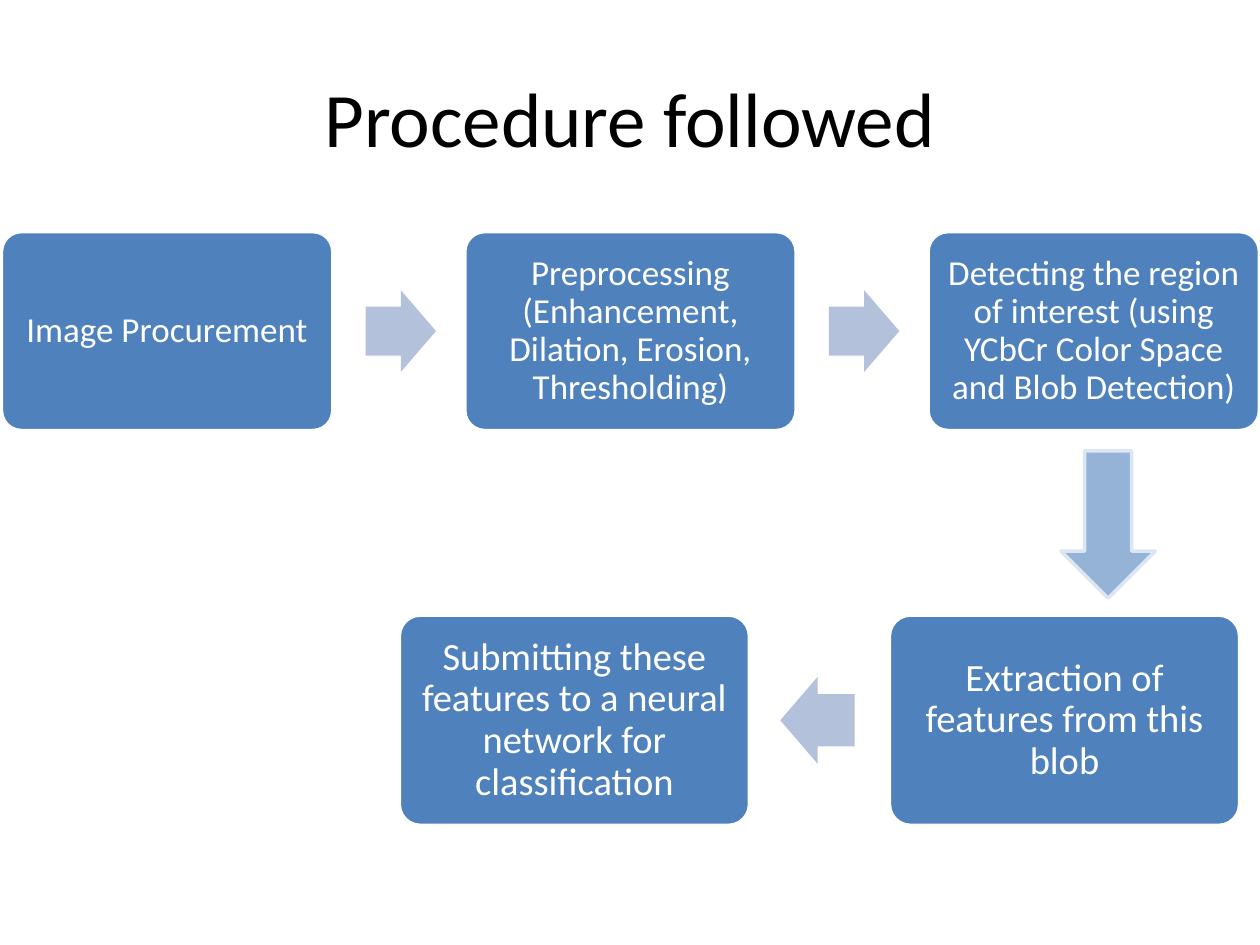
from pptx import Presentation
from pptx import util as u
from pptx.dml.color import RGBColor
from pptx.enum import shapes, text

# Content: each row runs from its first box in the given direction (lengths in cm)
TITLE = "Procedure followed"
ROWS = [
    dict(left=0.03, top=4.67, width=6.68, height=4.01, pitch=9.34, direction=1,
         arrow=(1.42, 1.65), size=20, inset=0.09,
         steps=["Image Procurement",
                "Preprocessing (Enhancement, Dilation, Erosion, Thresholding)",
                "Detecting the region of interest (using YCbCr Color Space "
                "and Blob Detection)"]),
    dict(left=17.93, top=12.4, width=7.06, height=4.24, pitch=9.88, direction=-1,
         arrow=(1.5, 1.75), size=22, inset=0.11,
         steps=["Extraction of features from this blob",
                "Submitting these features to a neural network for classification"]),
]
COLORS = dict(black="000000", white="FFFFFF", box="4F81BD", arrow="B3C1DB",
              down="95B3D7", down_line="DCE6F2")
KIND = shapes.MSO_SHAPE

deck = Presentation()
deck.slide_width, deck.slide_height = u.Cm(25.4), u.Cm(19.05)
page = deck.slides.add_slide(deck.slide_layouts[6])


def write(box, words, size, color, inset=0.25, spacing=1.0):
    frame = box.text_frame
    frame.word_wrap = True
    frame.vertical_anchor = text.MSO_ANCHOR.MIDDLE
    frame.margin_left = frame.margin_right = u.Cm(inset)
    frame.margin_top = frame.margin_bottom = u.Cm(inset)
    para = frame.paragraphs[0]
    para.alignment = text.PP_ALIGN.CENTER
    para.line_spacing = spacing
    span = para.add_run()
    span.text = words
    span.font.name = "Calibri"
    span.font.size = u.Pt(size)
    span.font.color.rgb = RGBColor.from_string(COLORS[color])


def draw(kind, left, top, width, height, fill, line=None, adjust=()):
    shape = page.shapes.add_shape(kind, *map(u.Cm, (left, top, width, height)))
    shape.shadow.inherit = False
    shape.fill.solid()
    shape.fill.fore_color.rgb = RGBColor.from_string(COLORS[fill])
    if line:
        shape.line.color.rgb = RGBColor.from_string(COLORS[line])
        shape.line.width = u.Pt(2)
    else:
        shape.line.fill.background()
    for index, value in enumerate(adjust):
        shape.adjustments[index] = value
    return shape


# Title
title = page.shapes.add_textbox(u.Cm(1.27), u.Cm(0.76), u.Cm(22.86), u.Cm(3.18))
write(title, TITLE, 44, "black")

# Rows of steps, with an arrow in each gap
for row in ROWS:
    step = row["direction"] * row["pitch"]
    arrow_width, arrow_height = row["arrow"]
    for index, words in enumerate(row["steps"]):
        left = row["left"] + index * step
        box = draw(KIND.ROUNDED_RECTANGLE, left, row["top"], row["width"],
                   row["height"], "box", "white", [0.1])
        write(box, words, row["size"], "white", row["inset"], 0.9)
        if index:
            middle = left + (row["width"] - step) / 2 + 0.04 * row["direction"]
            arrow = draw(KIND.RIGHT_ARROW, middle - arrow_width / 2,
                         row["top"] + (row["height"] - arrow_height) / 2,
                         arrow_width, arrow_height, "arrow", adjust=[0.6, 0.5])
            arrow.rotation = 0 if row["direction"] > 0 else 180

# Arrow from the first row down to the second
draw(KIND.DOWN_ARROW, 21.39, 9.09, 1.9, 2.97, "down", "down_line")

deck.save("out.pptx")
